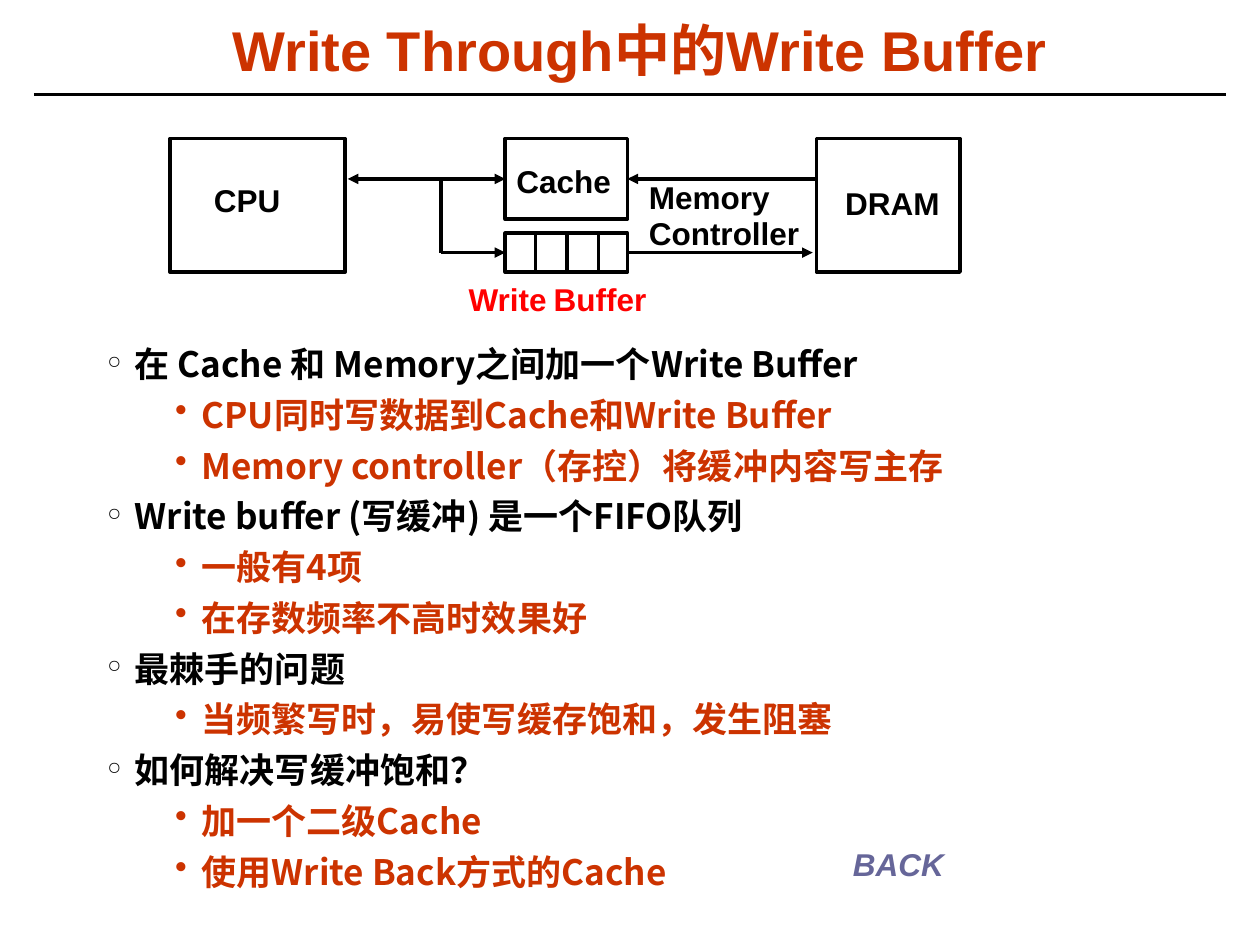
from dataclasses import dataclass

from lxml.etree import SubElement as Sub
from pptx import Presentation
from pptx.dml.color import RGBColor as Rgb
from pptx.enum.shapes import MSO_CONNECTOR as Conn, MSO_SHAPE as Kind
from pptx.enum.text import MSO_ANCHOR as Anchor, PP_ALIGN as Align
from pptx.oxml.ns import qn
from pptx.util import Inches, Pt


@dataclass(frozen=True)
class Theme:
    ink: str = "000000"
    rust: str = "CC3300"
    red: str = "FF0000"
    slate: str = "666699"
    sans: str = "Arial"
    serif: str = "Times New Roman"
    han: str = "Noto Sans CJK SC"
    head: int = 32
    body: int = 20
    label: int = 18
    gap: int = 16
    rule: float = 1.5
    edge: float = 2


class Board:
    """Draws on a grid of 40 columns by 30 rows."""

    def __init__(self, deck, theme):
        self.look = theme
        self.slide = deck.slides.add_slide(deck.slide_layouts[6])
        self.col = deck.slide_width / 40
        self.row = deck.slide_height / 30

    def place(self, x, y, w, h):
        return (round(x * self.col), round(y * self.row),
                round(w * self.col), round(h * self.row))

    def box(self, *area):
        shape = self.slide.shapes.add_shape(Kind.RECTANGLE, *self.place(*area))
        shape.shadow.inherit = False
        shape.fill.background()
        shape.line.color.rgb = Rgb.from_string(self.look.ink)
        shape.line.width = Pt(self.look.edge)
        return shape

    def line(self, x1, y1, x2, y2, ends=(), start=None, stop=None, width=None):
        """Joins start or stop, each a (shape, side) pair, when given."""
        link = self.slide.shapes.add_connector(
            Conn.STRAIGHT, *self.place(x1, y1, x2, y2))
        if start:
            link.begin_connect(*start)
        if stop:
            link.end_connect(*stop)
        link.line.color.rgb = Rgb.from_string(self.look.ink)
        link.line.width = Pt(width or self.look.edge)
        for end in ends:
            Sub(link.line._ln, qn(f"a:{end}End"), type="triangle")
        Sub(link._element.spPr, qn("a:effectLst"))

    def frame(self, area, pad=(0, 0), wrap=True):
        frame = self.slide.shapes.add_textbox(*self.place(*area)).text_frame
        frame.word_wrap = wrap
        frame.margin_left = frame.margin_right = Inches(pad[0])
        frame.margin_top = frame.margin_bottom = Inches(pad[1])
        return frame

    def font(self, para, size, color, name=None):
        font = para.font
        font.size, font.bold = Pt(size), True
        font.color.rgb = Rgb.from_string(color)
        font.name = name or self.look.sans
        Sub(font._element, qn("a:ea"), typeface=self.look.han)
        return font

    def title(self, text, *area):
        frame = self.frame(area, (0.1, 0.05))
        frame.vertical_anchor = Anchor.MIDDLE
        para = frame.paragraphs[0]
        para.text, para.alignment, para.line_spacing = text, Align.CENTER, 0.87
        self.font(para, self.look.head, self.look.rust)

    def label(self, text, *area, color=None):
        para = self.frame(area, (0.1, 0.05), wrap=False).paragraphs[0]
        para.text = text
        self.font(para, self.look.label, color or self.look.ink)
        return para

    def note(self, text, *area, color=None, tight=1.0, slant=False):
        para = self.frame(area).paragraphs[0]
        para.text, para.line_spacing = text, tight
        font = self.font(para, self.look.label, color or self.look.ink)
        font.italic = slant

    def points(self, items, *area):
        look = self.look
        styles = (("°", look.ink, 0.22, 0.22), ("•", look.rust, 0.75, 0.21))
        frame = self.frame(area, (0.07, 0.03))
        for i, (level, text) in enumerate(items):
            mark, color, left, hang = styles[level]
            para = frame.add_paragraph() if i else frame.paragraphs[0]
            para.text, para.level = text, level
            para.space_before = Pt(5 if i else 0)
            props = para._p.get_or_add_pPr()
            props.set("marL", str(Inches(left)))
            props.set("indent", str(-Inches(hang)))
            Sub(Sub(props, qn("a:buClr")), qn("a:srgbClr"), val=color)
            Sub(props, qn("a:buChar"), char=mark)
            self.font(para, look.body, color, look.han)


def main():
    deck = Presentation()
    deck.slide_width, deck.slide_height = Inches(10), Inches(7.5)
    look = Theme()
    board = Board(deck, look)

    # Heading and rule
    board.line(1.08, 3, 38.92, 3, width=look.rule)
    board.title("Write Through中的Write Buffer", 1.04, 0.56, 38.52, 2.32)

    # Bullet list
    board.points((
        (0, "在 Cache 和 Memory之间加一个Write Buffer"),
        (1, "CPU同时写数据到Cache和Write Buffer"),
        (1, "Memory controller（存控）将缓冲内容写主存"),
        (0, "Write buffer (写缓冲) 是一个FIFO队列"),
        (1, "一般有4项"),
        (1, "在存数频率不高时效果好"),
        (0, "最棘手的问题"),
        (1, "当频繁写时，易使写缓存饱和，发生阻塞"),
        (0, "如何解决写缓冲饱和？"),
        (1, "加一个二级Cache"),
        (1, "使用Write Back方式的Cache"),
    ), 3.12, 10.76, 30.96, 17.72)

    # Units of the diagram
    top, low = 4.4, 8.64
    board.box(5.4, top, 5.56, low - top)
    board.box(25.92, top, 4.56, low - top)
    cache = board.box(16.04, top, 3.88, 2.56)
    queue = board.box(16.04, 7.4, 3.88, low - 7.4)
    for x in (17, 18, 19):
        board.line(x, 7.4, x, low)

    # Data paths
    read, write = 5.68, 8.02
    board.line(11.04, read, 16.04, read, ("head", "tail"), stop=(cache, 1))
    board.line(14, read, 14, write)
    board.line(14, write, 16.04, write, ("tail",), stop=(queue, 1))
    board.line(19.92, read, 25.92, read, ("head",), start=(cache, 3))
    board.line(19.92, write, 25.8, write, ("tail",), start=(queue, 3))

    # Labels
    board.label("CPU", 6.4, 5.56, 2.92, 1.6)
    board.label("Cache", 16, 4.96, 3.8, 1.6)
    board.label("DRAM", 26.44, 5.64, 3.8, 1.6)
    board.note("Memory Controller", 20.6, 5.74, 5.4, 2.28, tight=0.95)
    name = board.label("Write", 14.48, 8.7, 6.48, 1.6, color=look.red)
    space = name.add_run()
    space.text = " "
    space.font.size, space.font.name = Pt(look.gap), look.serif
    name.add_run().text = "Buffer"
    board.note("BACK", 27.08, 26.84, 6.68, 1.2, color=look.slate, slant=True)

    deck.save("out.pptx")


if __name__ == "__main__":
    main()
